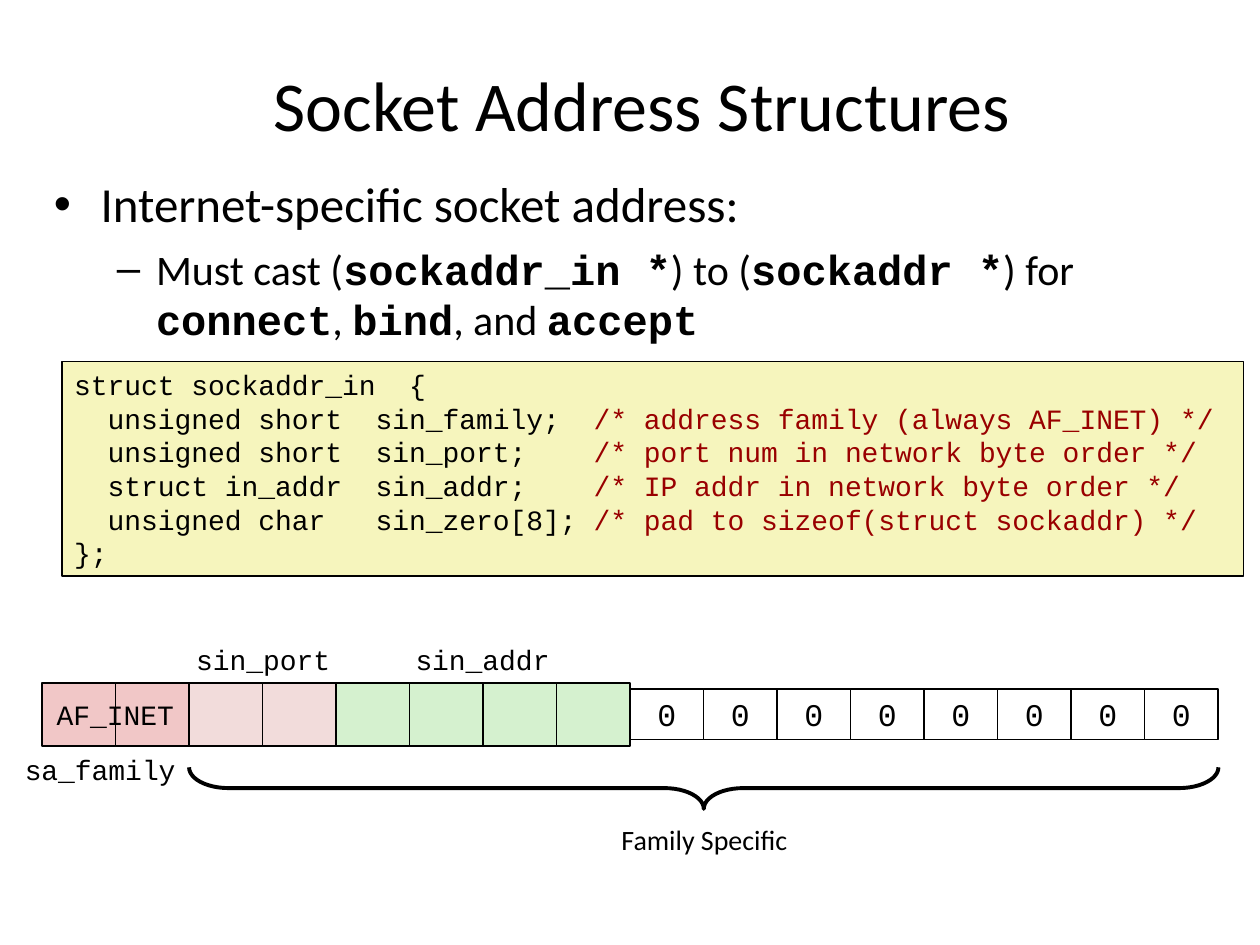
"""Build a slide on Internet socket address structures."""
import pptx
import pptx.dml.color
import pptx.enum.shapes
import pptx.enum.text
import pptx.oxml.ns
import pptx.util
from lxml import etree
from pptx.util import Inches

SHAPES = pptx.enum.shapes.MSO_SHAPE
ALIGN = pptx.enum.text.PP_ALIGN
ANCHOR = pptx.enum.text.MSO_ANCHOR
MONO = "Courier New"


def color(value):
    return pptx.dml.color.RGBColor.from_string(value)


def style(paragraph, size, name, alignment=ALIGN.LEFT):
    paragraph.alignment = alignment
    paragraph.font.size = pptx.util.Pt(size)
    paragraph.font.name = name
    paragraph.font.color.rgb = color("000000")


presentation = pptx.Presentation()
presentation.slide_width = Inches(10)
presentation.slide_height = Inches(7.5)
slide = presentation.slides.add_slide(presentation.slide_layouts[6])

title = slide.shapes.add_textbox(Inches(0.33), Inches(0.4), Inches(9.53), Inches(0.85))
title.text_frame.word_wrap = True
title.text_frame.vertical_anchor = ANCHOR.MIDDLE
title.text_frame.text = "Socket Address Structures"
style(title.text_frame.paragraphs[0], 40, "Calibri", ALIGN.CENTER)

body = slide.shapes.add_textbox(Inches(0.33), Inches(1.33), Inches(9.09), Inches(2.9))
body.text_frame.word_wrap = True
bullets = [
    (0, 28, 0.37, -0.37, "•", ["Internet-specific socket address:"]),
    (1, 24, 0.81, -0.31, "–", ["Must cast (", "sockaddr_in *", ") to (", "sockaddr *", ") for ",
                               "connect", ", ", "bind", ", and ", "accept"]),
]
for level, size, margin, indent, mark, pieces in bullets:
    paragraph = body.text_frame.add_paragraph() if level else body.text_frame.paragraphs[0]
    paragraph.level = level
    if level:
        paragraph.space_before = pptx.util.Pt(6)
    properties = paragraph._p.get_or_add_pPr()
    properties.set("marL", str(Inches(margin)))
    properties.set("indent", str(Inches(indent)))
    etree.SubElement(properties, pptx.oxml.ns.qn("a:buFont")).set("typeface", "Arial")
    etree.SubElement(properties, pptx.oxml.ns.qn("a:buChar")).set("char", mark)
    style(paragraph, size, "Calibri")
    for index, piece in enumerate(pieces):
        run = paragraph.add_run()
        run.text = piece
        if index % 2:
            run.font.name = MONO
            run.font.bold = True

cells = [("F1C7C7", "")] * 2 + [("F2DCDB", "")] * 2 + [("D5F1CF", "")] * 4 + [("FFFFFF", "0")] * 8
pitch = 7 / 12
for index, (fill, text) in enumerate(cells):
    top, height = (5.47, 0.4) if text else (5.42, 0.5)
    cell = slide.shapes.add_shape(SHAPES.RECTANGLE, Inches(1 / 3 + index * pitch), Inches(top),
                                  Inches(pitch), Inches(height))
    cell.shadow.inherit = False
    cell.fill.solid()
    cell.fill.fore_color.rgb = color(fill)
    cell.line.color.rgb = color("000000")
    cell.line.width = pptx.util.Pt(1)
    if text:
        cell.text_frame.text = text
        style(cell.text_frame.paragraphs[0], 18, MONO, ALIGN.CENTER)

brace = slide.shapes.add_shape(SHAPES.RIGHT_BRACE, Inches(5.42), Inches(2.17), Inches(0.33), Inches(8.17))
brace.rotation = 90
brace.adjustments[0] = 0.95
brace.shadow.inherit = False
brace.fill.background()
brace.line.color.rgb = color("000000")
brace.line.width = pptx.util.Pt(2.25)

code = slide.shapes.add_shape(SHAPES.RECTANGLE, Inches(0.49), Inches(2.87), Inches(9.38), Inches(1.7))
code.shadow.inherit = False
code.fill.solid()
code.fill.fore_color.rgb = color("F6F5BD")
code.line.color.rgb = color("000000")
code.line.width = pptx.util.Pt(1)
code.text_frame.vertical_anchor = ANCHOR.TOP
code.text_frame.word_wrap = True
code_lines = [
    ("struct sockaddr_in  {", ""),
    ("  unsigned short  sin_family;  ", "/* address family (always AF_INET) */"),
    ("  unsigned short  sin_port;    ", "/* port num in network byte order */"),
    ("  struct in_addr  sin_addr;    ", "/* IP addr in network byte order */"),
    ("  unsigned char   sin_zero[8]; ", "/* pad to sizeof(struct sockaddr) */"),
    ("};", ""),
]
for index, (statement, comment) in enumerate(code_lines):
    paragraph = code.text_frame.add_paragraph() if index else code.text_frame.paragraphs[0]
    style(paragraph, 16, MONO)
    paragraph.add_run().text = statement
    if comment:
        run = paragraph.add_run()
        run.text = comment
        run.font.color.rgb = color("990000")

labels = [
    ("sa_family", 0.1, 5.92, 1.39, MONO),
    ("Family Specific", 4.83, 6.48, 1.52, "Calibri"),
    ("sin_port", 1.46, 5.05, 1.26, MONO),
    ("AF_INET", 0.35, 5.49, 1.13, MONO),
    ("sin_addr", 3.2, 5.05, 1.26, MONO),
]
for text, left, top, width, name in labels:
    label = slide.shapes.add_textbox(Inches(left), Inches(top), Inches(width), Inches(0.37))
    label.text_frame.word_wrap = False
    label.text_frame.margin_left = label.text_frame.margin_right = Inches(0)
    label.text_frame.text = text
    style(label.text_frame.paragraphs[0], 16, name, ALIGN.CENTER)

presentation.save("out.pptx")
